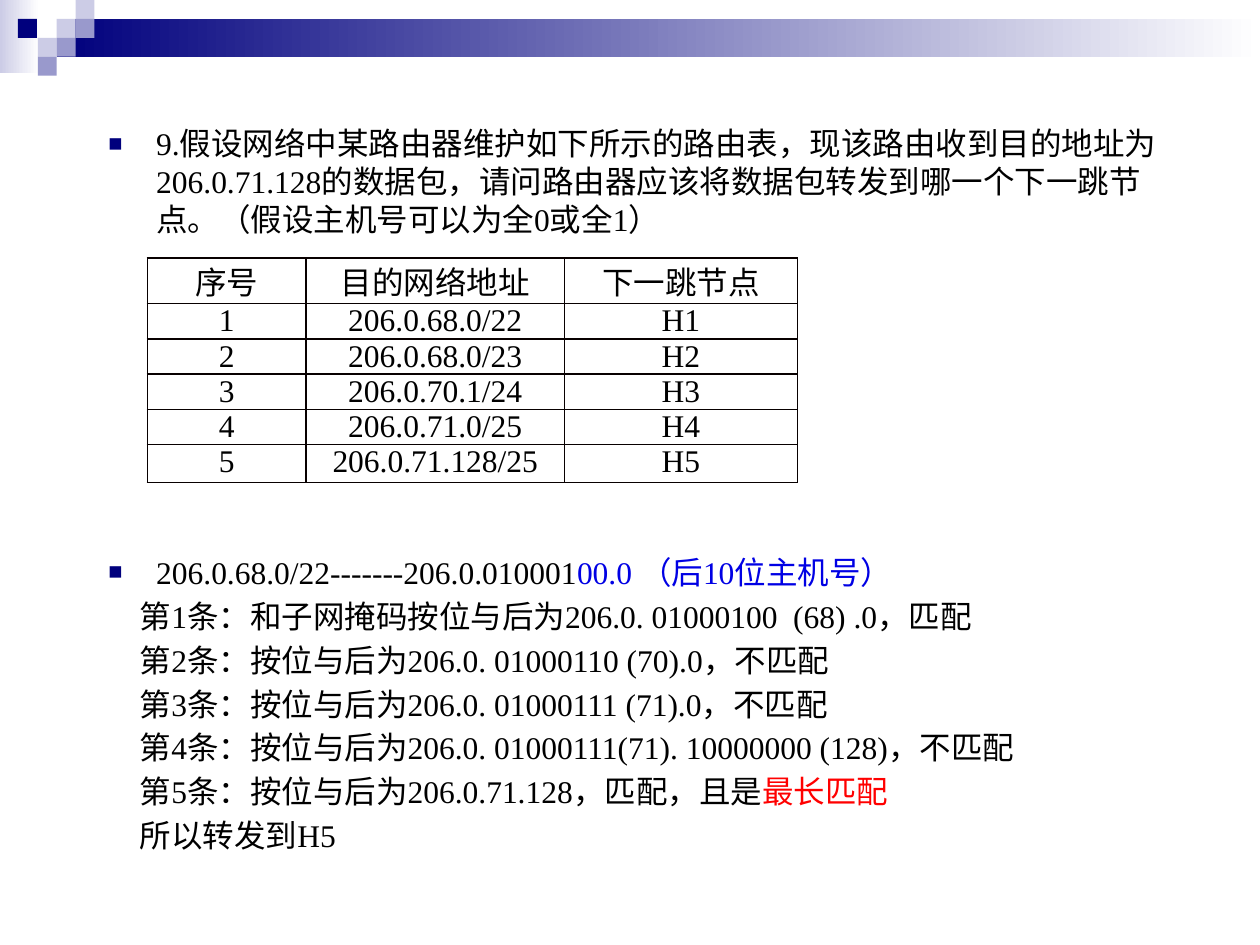
from lxml import etree
from pptx import Presentation, util as u
from pptx.dml.color import RGBColor
from pptx.enum import shapes, text
from pptx.oxml.ns import qn

NAVY = RGBColor(0x00, 0x00, 0x7D)
MID = RGBColor(0x99, 0x99, 0xCC)
PALE = RGBColor(0xCC, 0xCC, 0xE6)
WHITE = RGBColor(0xFF, 0xFF, 0xFF)
BLACK = RGBColor(0x00, 0x00, 0x00)
BLUE = RGBColor(0x00, 0x00, 0xE4)
RED = RGBColor(0xFF, 0x00, 0x00)
EDGE = RGBColor(0x08, 0x00, 0x00)

WIDE, HIGH = 10, 7.5
UNIT = 0.15  # grid step of the header squares
FONT = {"name": "Times New Roman", "size": u.Pt(18), "bold": False}
GAP = u.Pt(3.5)
TABLE_GAP = u.Pt(180)  # room left in the text for the table

# Header bands and squares: column, row, columns, rows, colour
BANDS = [(0, 0, 2.07, 3.87, PALE), (3, 1, 63.67, 2, NAVY)]
TILES = [(3, 1, PALE), (4, 0, PALE), (4, 1, MID), (2, 2, PALE),
         (0.95, 1, NAVY), (3, 2, MID), (2, 3, MID)]

ASK = ("9.假设网络中某路由器维护如下所示的路由表，现该路由收到目的地址为"
       "206.0.71.128的数据包，请问路由器应该将数据包转发到哪一个下一跳节点。"
       "（假设主机号可以为全0或全1）")
RANGE = [("206.0.68.0/22-------206.0.010001", BLACK),
         ("00.0 （后10位主机号）", BLUE)]
STEPS = [
    [("第1条：和子网掩码按位与后为206.0. 01000100  (68) .0，匹配", BLACK)],
    [("第2条：按位与后为206.0. 01000110 (70).0，不匹配", BLACK)],
    [("第3条：按位与后为206.0. 01000111 (71).0，不匹配", BLACK)],
    [("第4条：按位与后为206.0. 01000111(71). 10000000 (128)，不匹配", BLACK)],
    [("第5条：按位与后为206.0.71.128，匹配，且是", BLACK), ("最长匹配", RED)],
    [("所以转发到H5", BLACK)],
]

HEAD = ["序号", "目的网络地址", "下一跳节点"]
NETS = ["206.0.68.0/22", "206.0.68.0/23", "206.0.70.1/24",
        "206.0.71.0/25", "206.0.71.128/25"]
COLS = [1.26, 2.05, 1.85]
ROWS = [0.36] + [0.28] * 4 + [0.3]


def share(left, top, width, height):
    """Turn shares of the slide into lengths."""
    return [u.Inches(part * full) for part, full in
            zip((left, top, width, height), (WIDE, HIGH) * 2)]


def add_run(para, words, color=BLACK):
    run = para.add_run()
    run.text = words
    for key, value in FONT.items():
        setattr(run.font, key, value)
    run.font.color.rgb = color


def add_box(slide, col, row, cols, rows, color, fade=False):
    box = slide.shapes.add_shape(
        shapes.MSO_SHAPE.RECTANGLE,
        *[u.Inches(n * UNIT) for n in (col, row, cols, rows)])
    box.shadow.inherit = False
    box.line.fill.background()
    if fade:
        box.fill.gradient()
        box.fill.gradient_angle = 0
        for stop, tint, place in zip(box.fill.gradient_stops,
                                     (color, WHITE), (0, 1)):
            stop.color.rgb = tint
            stop.position = place
    else:
        box.fill.solid()
        box.fill.fore_color.rgb = color


def add_line(para, parts, mark=False, before=GAP):
    """Fill one paragraph, with a square bullet or a first-line indent."""
    para.space_before = before
    props = para._p.get_or_add_pPr()
    props.set("marL", str(u.Inches(0.38 if mark else 0)))
    props.set("indent", str(u.Inches(-0.38 if mark else 0.25)))
    if mark:
        tint = etree.SubElement(props, qn("a:buClr"))
        etree.SubElement(tint, qn("a:srgbClr"), val=str(NAVY))
        etree.SubElement(props, qn("a:buSzPct"), val="75000")
        etree.SubElement(props, qn("a:buChar"), char="■")
    else:
        etree.SubElement(props, qn("a:buNone"))
    for words, color in parts:
        add_run(para, words, color)


def fill_body(slide):
    body = slide.placeholders[1]
    body.left, body.top, body.width, body.height = share(
        0.076, 0.125, 0.862, 0.844)
    frame = body.text_frame
    frame.auto_size = text.MSO_AUTO_SIZE.NONE
    frame.vertical_anchor = text.MSO_ANCHOR.TOP
    add_line(frame.paragraphs[0], [(ASK, BLACK)], mark=True)
    add_line(frame.add_paragraph(), RANGE, mark=True, before=TABLE_GAP)
    for parts in STEPS:
        add_line(frame.add_paragraph(), parts)


def set_cell(cell, words):
    form = {"margin_left": 0, "margin_right": 0, "margin_top": 0,
            "margin_bottom": 0, "vertical_anchor": text.MSO_ANCHOR.TOP}
    for key, value in form.items():
        setattr(cell, key, value)
    props = cell._tc.get_or_add_tcPr()
    for side in ("lnL", "lnR", "lnT", "lnB"):
        line = etree.SubElement(props, qn("a:" + side), w=str(u.Pt(1)))
        fill = etree.SubElement(line, qn("a:solidFill"))
        etree.SubElement(fill, qn("a:srgbClr"), val=str(EDGE))
    cell.fill.background()
    para = cell.text_frame.paragraphs[0]
    para.alignment = text.PP_ALIGN.CENTER
    add_run(para, words)


def add_routes(slide):
    data = [HEAD] + [[str(n), net, f"H{n}"] for n, net in enumerate(NETS, 1)]
    place = share(0.117, 0.273, sum(COLS) / WIDE, sum(ROWS) / HIGH)
    grid = slide.shapes.add_table(len(ROWS), len(COLS), *place).table
    grid.first_row = grid.horz_banding = False
    for col, width in zip(grid.columns, COLS):
        col.width = u.Inches(width)
    for row, height, line in zip(grid.rows, ROWS, data):
        row.height = u.Inches(height)
        for cell, words in zip(row.cells, line):
            set_cell(cell, words)


def main():
    deck = Presentation()
    deck.slide_width, deck.slide_height = u.Inches(WIDE), u.Inches(HIGH)
    slide = deck.slides.add_slide(deck.slide_layouts[1])
    title = slide.shapes.title._element
    title.getparent().remove(title)  # this slide has no title

    # Header decoration
    for band in BANDS:
        add_box(slide, *band, fade=True)
    for col, row, color in TILES:
        add_box(slide, col, row, 1, 1, color)

    # Question, answer and routing table
    fill_body(slide)
    add_routes(slide)
    deck.save("out.pptx")


if __name__ == "__main__":
    main()
